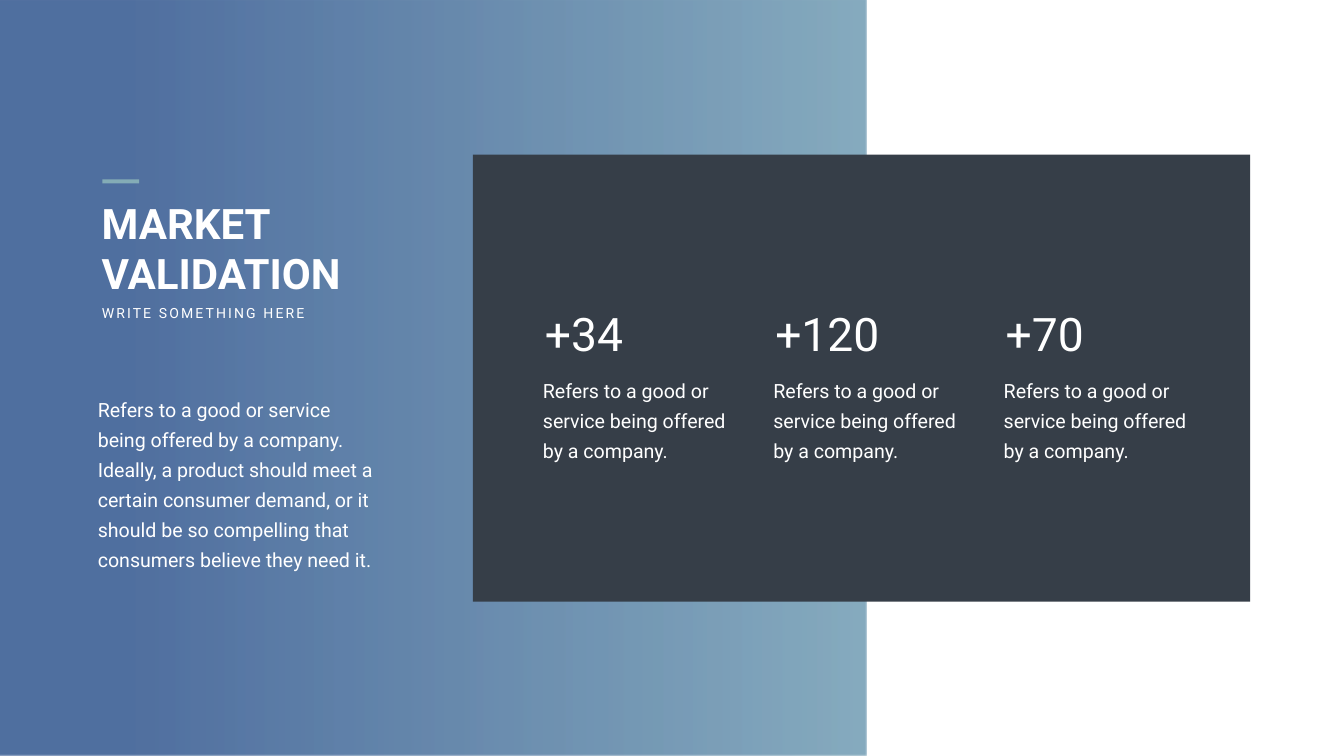
from dataclasses import dataclass

import pptx
import pptx.dml.color
import pptx.enum.shapes
import pptx.enum.text
import pptx.oxml
import pptx.oxml.ns
import pptx.util

SCALE = 9144  # EMU in one px, at 100 px to the inch


@dataclass(frozen=True)
class Theme:
    font: str = "Roboto"
    white: str = "FFFFFF"
    panel: str = "363E48"
    accent: str = "84ACB6"
    deep: str = "264D89"
    pale: str = "6997AF"
    alpha: int = 80
    title: int = 60
    tag: int = 20
    body: int = 28
    lead: int = 43
    figure: int = 66


@dataclass(frozen=True)
class Box:
    left: int
    top: int
    width: int
    height: int

    def emu(self) -> list[int]:
        return [n * SCALE for n in (self.left, self.top, self.width, self.height)]


@dataclass(frozen=True)
class Style:
    size: int
    bold: bool = False
    wrap: bool = True
    lead: int = 0
    gap: int = 0
    side: int = 10
    edge: int = 5


@dataclass(frozen=True)
class Stat:
    figure: str
    width: int
    note: str = "Refers to a good or service being offered by a company."


THEME = Theme()
TITLE = Style(THEME.title, bold=True)
TAG = Style(THEME.tag, wrap=False, gap=300)
BODY = Style(THEME.body, lead=THEME.lead, side=24, edge=12)
FIGURE = Style(THEME.figure, wrap=False)
STATS = [Stat("+34", 177), Stat("+120", 229), Stat("+70", 177)]


def tint(code: str) -> pptx.dml.color.RGBColor:
    return pptx.dml.color.RGBColor.from_string(code)


def block(slide, box: Box):
    shape = slide.shapes.add_shape(
        pptx.enum.shapes.MSO_SHAPE.RECTANGLE, *box.emu())
    shape.shadow.inherit = False
    shape.line.fill.background()
    return shape


def solid(slide, box: Box, code: str) -> None:
    fill = block(slide, box).fill
    fill.solid()
    fill.fore_color.rgb = tint(code)


def fade(slide, box: Box) -> None:
    shape = block(slide, box)
    shape.fill.gradient()
    shape.fill.gradient_angle = 0
    ends = [(0.15, THEME.deep), (1, THEME.pale)]
    for stop, (place, code) in zip(shape.fill.gradient_stops, ends):
        stop.position = place
        stop.color.rgb = tint(code)
    # Make both stops partly clear
    names = pptx.oxml.ns
    for color in shape.element.spPr.iter(names.qn("a:srgbClr")):
        color.append(pptx.oxml.parse_xml(
            f'<a:alpha {names.nsdecls("a")} val="{THEME.alpha * 1000}"/>'))


def write(slide, box: Box, text: str, style: Style) -> None:
    frame = slide.shapes.add_textbox(*box.emu()).text_frame
    frame.word_wrap = style.wrap
    frame.auto_size = pptx.enum.text.MSO_AUTO_SIZE.SHAPE_TO_FIT_TEXT
    frame.margin_left = frame.margin_right = style.side * SCALE
    frame.margin_top = frame.margin_bottom = style.edge * SCALE
    para = frame.paragraphs[0]
    if style.lead:
        para.line_spacing = pptx.util.Pt(style.lead)
    run = para.add_run()
    run.text = text
    run.font.name = THEME.font
    run.font.size = pptx.util.Pt(style.size)
    run.font.bold = style.bold
    run.font.color.rgb = tint(THEME.white)
    if style.gap:
        run.font._element.set("spc", str(style.gap))


def main() -> None:
    deck = pptx.Presentation()
    deck.slide_width, deck.slide_height = 2666 * SCALE, 1500 * SCALE
    slide = deck.slides.add_slide(deck.slide_layouts[6])

    # Backdrop and panel
    fade(slide, Box(0, 0, 1718, 1500))
    solid(slide, Box(938, 307, 1542, 887), THEME.panel)

    # Heading and introduction
    solid(slide, Box(203, 356, 73, 8), THEME.accent)
    write(slide, Box(192, 387, 537, 212), "MARKET VALIDATION", TITLE)
    write(slide, Box(192, 599, 435, 44), "WRITE SOMETHING HERE", TAG)
    write(slide, Box(170, 764, 599, 380),
          "Refers to a good or service being offered by a company. "
          "Ideally, a product should meet a certain consumer demand, or it "
          "should be so compelling that consumers believe they need it.", BODY)

    # Figures in evenly spaced columns
    for col, stat in enumerate(STATS):
        left = 1053 + col * 457
        write(slide, Box(left + 18, 601, stat.width, 121), stat.figure, FIGURE)
        write(slide, Box(left, 727, 417, 200), stat.note, BODY)

    deck.save("out.pptx")


if __name__ == "__main__":
    main()
